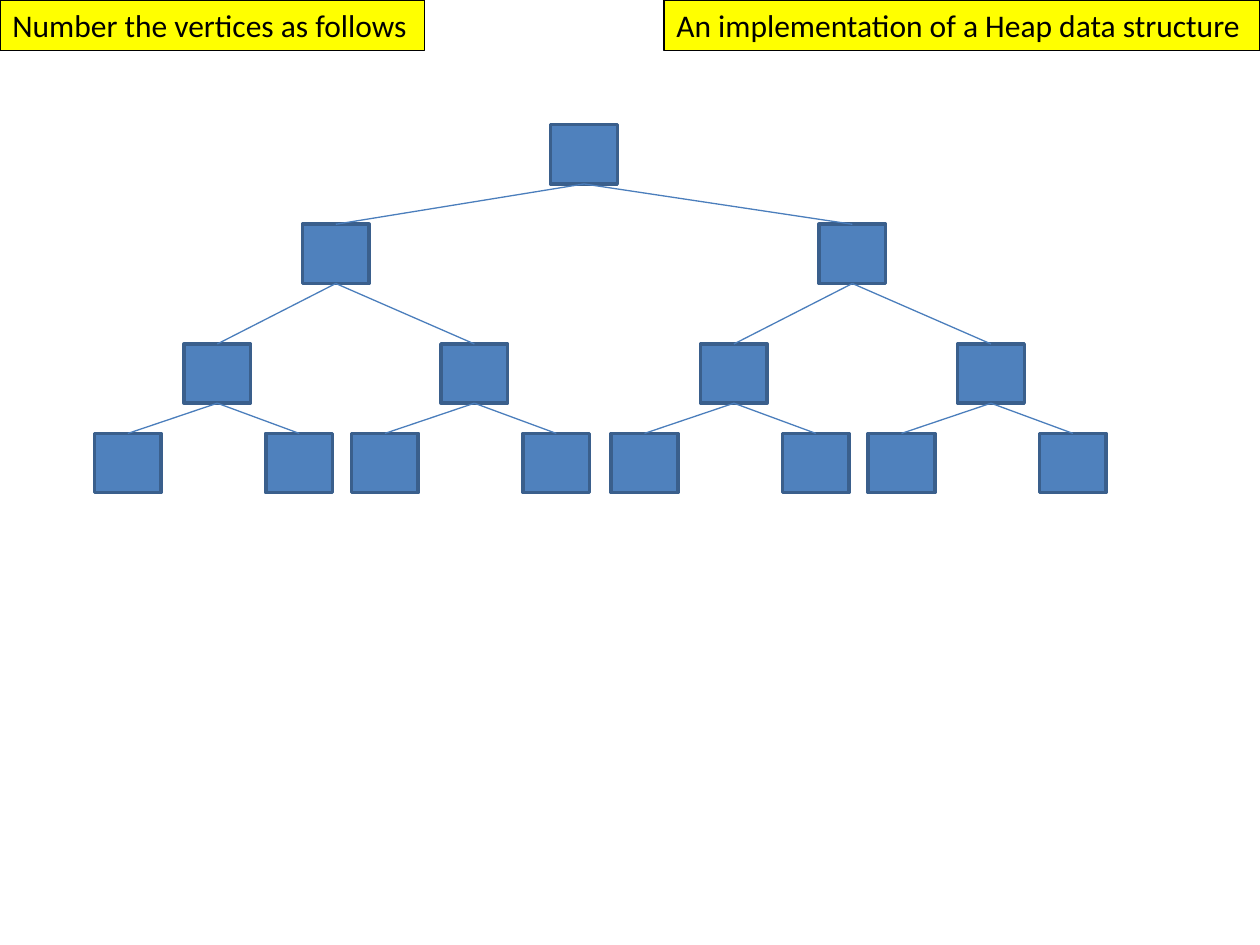
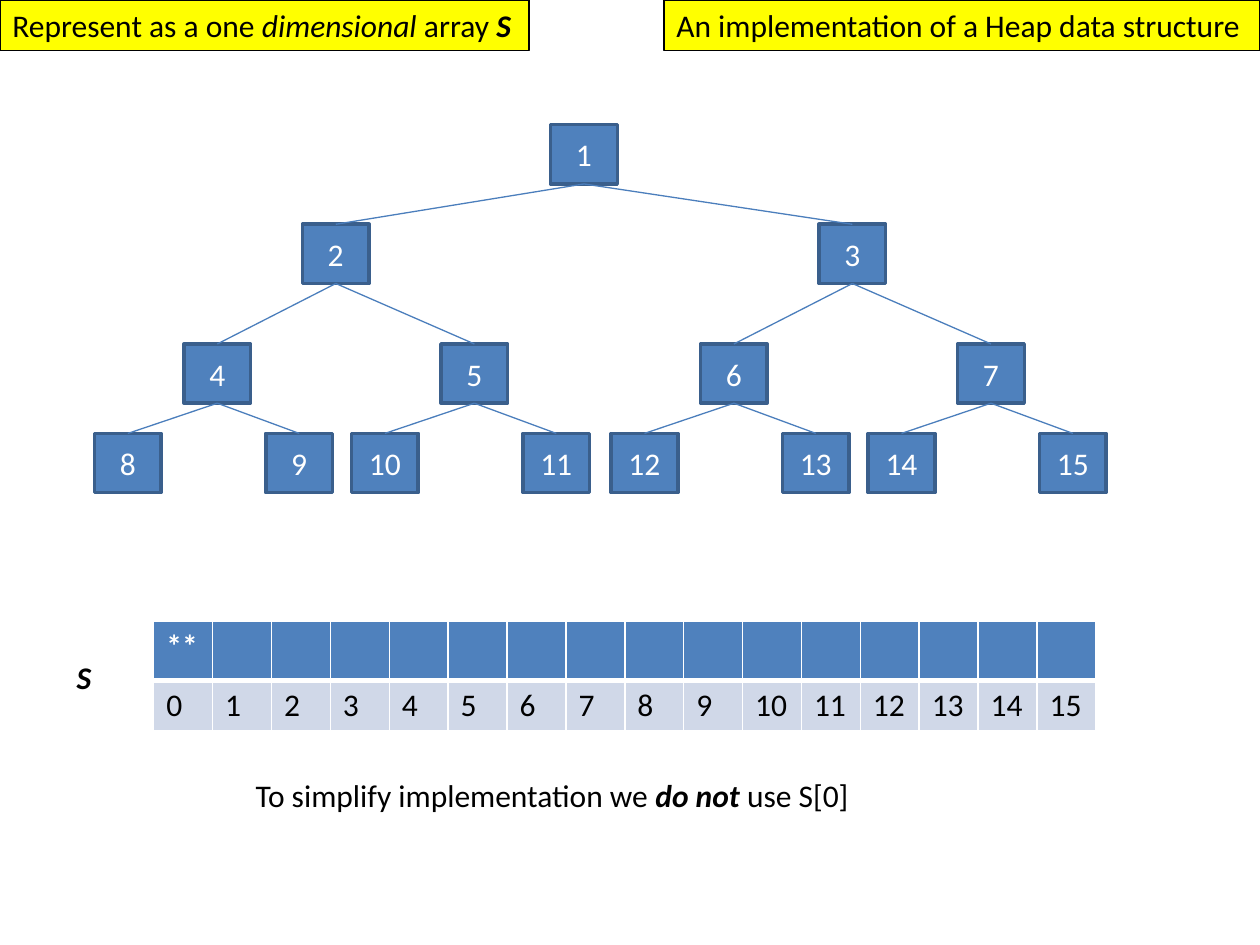
from lxml.etree import SubElement
from pptx import Presentation
from pptx.dml.color import RGBColor
from pptx.enum.shapes import MSO_CONNECTOR, MSO_SHAPE
from pptx.enum.text import MSO_ANCHOR, MSO_AUTO_SIZE, PP_ALIGN
from pptx.oxml import parse_xml
from pptx.oxml.ns import nsdecls, qn
from pptx.util import Inches, Pt

# Content: text is a list of (words, format) spans
STRONG = {"bold": True, "italic": True}
TOPIC = [("An implementation of a Heap data structure", {})]
SLIDES = [
    {"title": [("Number the vertices as follows", {})], "title_width": 3.37,
     "numbered": False},
    {"title": [("Represent as a one ", {}), ("dimensional", {"italic": True}),
               (" array ", {}), ("S", STRONG)], "title_width": 4.2,
     "numbered": True},
]
ARRAY_NAME = [("S", STRONG)]
ARRAY_NOTE = [("To simplify implementation we ", {}), ("do not ", STRONG),
              ("use S[0]", {})]
ARRAY_SIZE = 16
ARRAY_ROWS = [["**"] + [""] * (ARRAY_SIZE - 1),
              [str(index) for index in range(ARRAY_SIZE)]]

# Shared style
COLORS = {"band": "FFFF00", "ink": "000000", "paper": "FFFFFF", "node": "4F81BD",
          "node_line": "3A5F8C", "edge": "4B7EBC", "index_row": "D0D8E8"}
FONT = {"name": "Calibri", "size": Pt(18), "bold": False, "italic": False}

# Heap layout: top of each level, and shift of left and right child by level
NODE_WIDTH, NODE_HEIGHT = 0.53, 0.47
ROOT_LEFT = 4.37
LEVEL_TOPS = [0.99, 1.78, 2.73, 3.44]
CHILD_SHIFTS = [(-1.97, 2.13), (-0.94, 1.1), (-0.71, 0.65)]
BOTTOM_SITE, TOP_SITE = 2, 0

# Array layout
ARRAY_LEFT, ARRAY_TOP, ARRAY_WIDTH = 1.22, 4.93, 7.48
ROW_HEIGHTS = [0.47, 0.4]
ROW_STYLES = [
    {"fill": "node", "ink": "paper", "font": {"bold": True},
     "borders": {"lnL": 1, "lnR": 1, "lnT": 1, "lnB": 3}},
    {"fill": "index_row", "ink": "ink", "font": {},
     "borders": {"lnL": 1, "lnR": 1, "lnT": 3, "lnB": 1}},
]


def rgb(name):
    return RGBColor.from_string(COLORS[name])


def paint(shape, fill, line, width):
    shape.fill.solid()
    shape.fill.fore_color.rgb = rgb(fill)
    shape.line.color.rgb = rgb(line)
    shape.line.width = Pt(width)


def write(para, spans, color="ink"):
    for words, changes in spans:
        span = para.add_run()
        span.text = words
        for key, value in {**FONT, **changes}.items():
            setattr(span.font, key, value)
        span.font.color.rgb = rgb(color)


def add_text(page, spans, left, top, width, height=0.4):
    box = page.shapes.add_textbox(*map(Inches, (left, top, width, height)))
    box.text_frame.word_wrap = False
    box.text_frame.auto_size = MSO_AUTO_SIZE.SHAPE_TO_FIT_TEXT
    write(box.text_frame.paragraphs[0], spans)
    return box


def add_band(page, spans, left, width):
    paint(add_text(page, spans, left, 0, width), "band", "ink", 0.75)


def add_node(page, left, top, label):
    node = page.shapes.add_shape(
        MSO_SHAPE.RECTANGLE, *map(Inches, (left, top, NODE_WIDTH, NODE_HEIGHT)))
    node.shadow.inherit = False
    paint(node, "node", "node_line", 2)
    if label:
        node.text_frame.vertical_anchor = MSO_ANCHOR.MIDDLE
        para = node.text_frame.paragraphs[0]
        para.alignment = PP_ALIGN.CENTER
        write(para, [(label, {})], "paper")
    return node


def add_edge(page, parent, child):
    edge = page.shapes.add_connector(MSO_CONNECTOR.STRAIGHT, 0, 0, 0, 0)
    edge.begin_connect(parent, BOTTOM_SITE)
    edge.end_connect(child, TOP_SITE)
    edge.line.color.rgb = rgb("edge")
    edge.line.width = Pt(0.75)
    SubElement(edge._element.spPr, qn("a:effectLst"))


def add_heap(page, numbered):
    # Vertex n has the children 2n and 2n + 1
    lefts = {1: ROOT_LEFT}
    for vertex in range(2, 2 ** len(LEVEL_TOPS)):
        parent_level = vertex.bit_length() - 2
        lefts[vertex] = lefts[vertex // 2] + CHILD_SHIFTS[parent_level][vertex % 2]
    nodes = {vertex: add_node(page, left, LEVEL_TOPS[vertex.bit_length() - 1],
                              str(vertex) if numbered else "")
             for vertex, left in lefts.items()}
    for vertex in range(2, len(nodes) + 1):
        add_edge(page, nodes[vertex // 2], nodes[vertex])


def add_borders(cell, widths):
    properties = cell._tc.get_or_add_tcPr()
    for position, (side, width) in enumerate(widths.items()):
        properties.insert(position, parse_xml(
            f'<a:{side} {nsdecls("a")} w="{Pt(width)}"><a:solidFill>'
            f'<a:srgbClr val="{COLORS["paper"]}"/></a:solidFill></a:{side}>'))


def add_array(page):
    table = page.shapes.add_table(
        len(ARRAY_ROWS), ARRAY_SIZE, Inches(ARRAY_LEFT), Inches(ARRAY_TOP),
        Inches(ARRAY_WIDTH), Inches(sum(ROW_HEIGHTS))).table
    for column in table.columns:
        column.width = Inches(ARRAY_WIDTH / ARRAY_SIZE)
    for row, height, values, style in zip(table.rows, ROW_HEIGHTS, ARRAY_ROWS,
                                          ROW_STYLES):
        row.height = Inches(height)
        for cell, value in zip(row.cells, values):
            cell.fill.solid()
            cell.fill.fore_color.rgb = rgb(style["fill"])
            add_borders(cell, style["borders"])
            if value:
                write(cell.text_frame.paragraphs[0], [(value, style["font"])],
                      style["ink"])


# Build the deck
deck = Presentation()
deck.slide_width, deck.slide_height = Inches(10), Inches(7.5)
for content in SLIDES:
    page = deck.slides.add_slide(deck.slide_layouts[6])
    add_band(page, TOPIC, 5.27, 4.73)
    add_heap(page, content["numbered"])
    add_band(page, content["title"], 0, content["title_width"])

# The array belongs to the last slide
add_array(page)
add_text(page, ARRAY_NAME, 0.51, 5.17, 0.32)
add_text(page, ARRAY_NOTE, 1.93, 6.11, 4.96)

deck.save("out.pptx")
